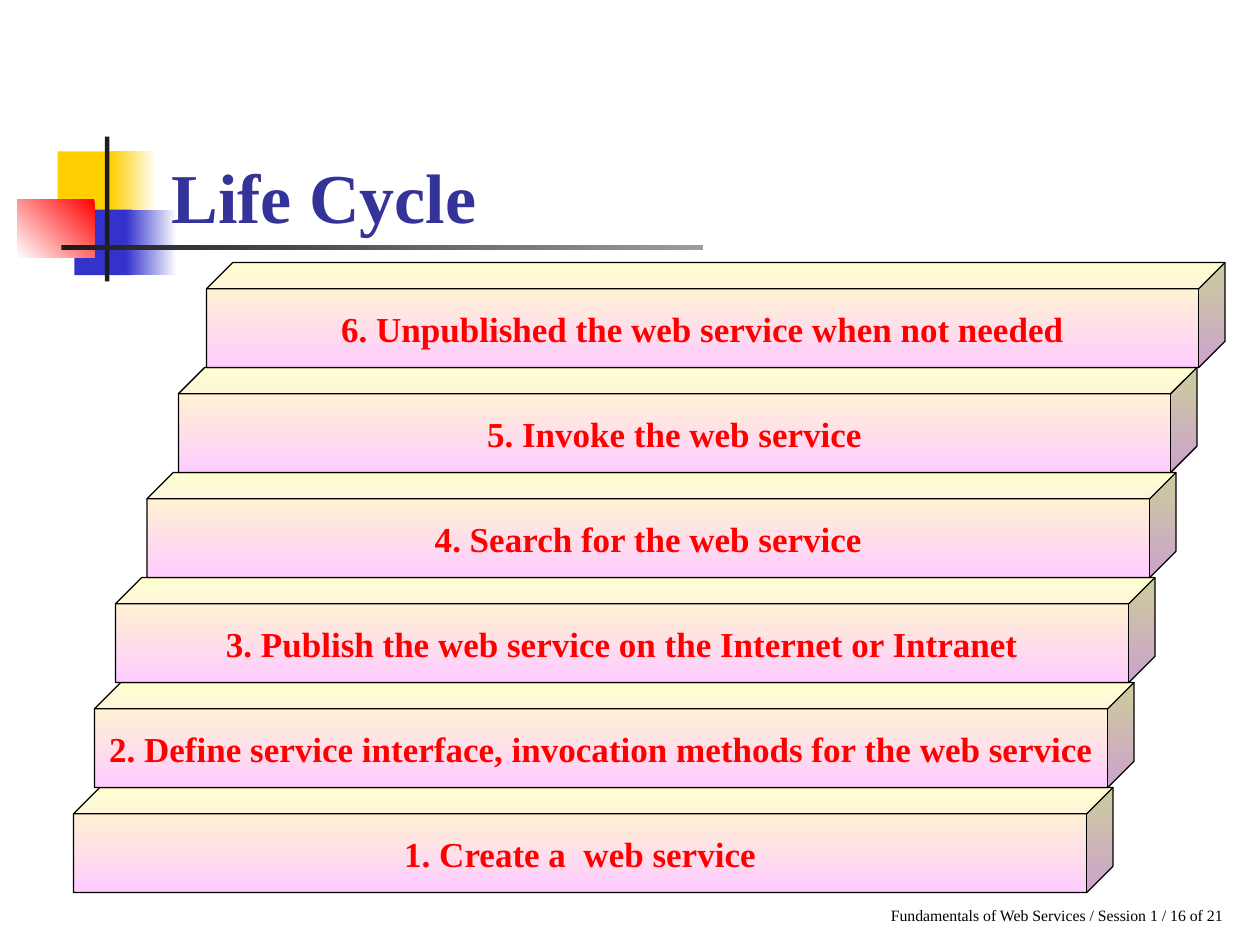
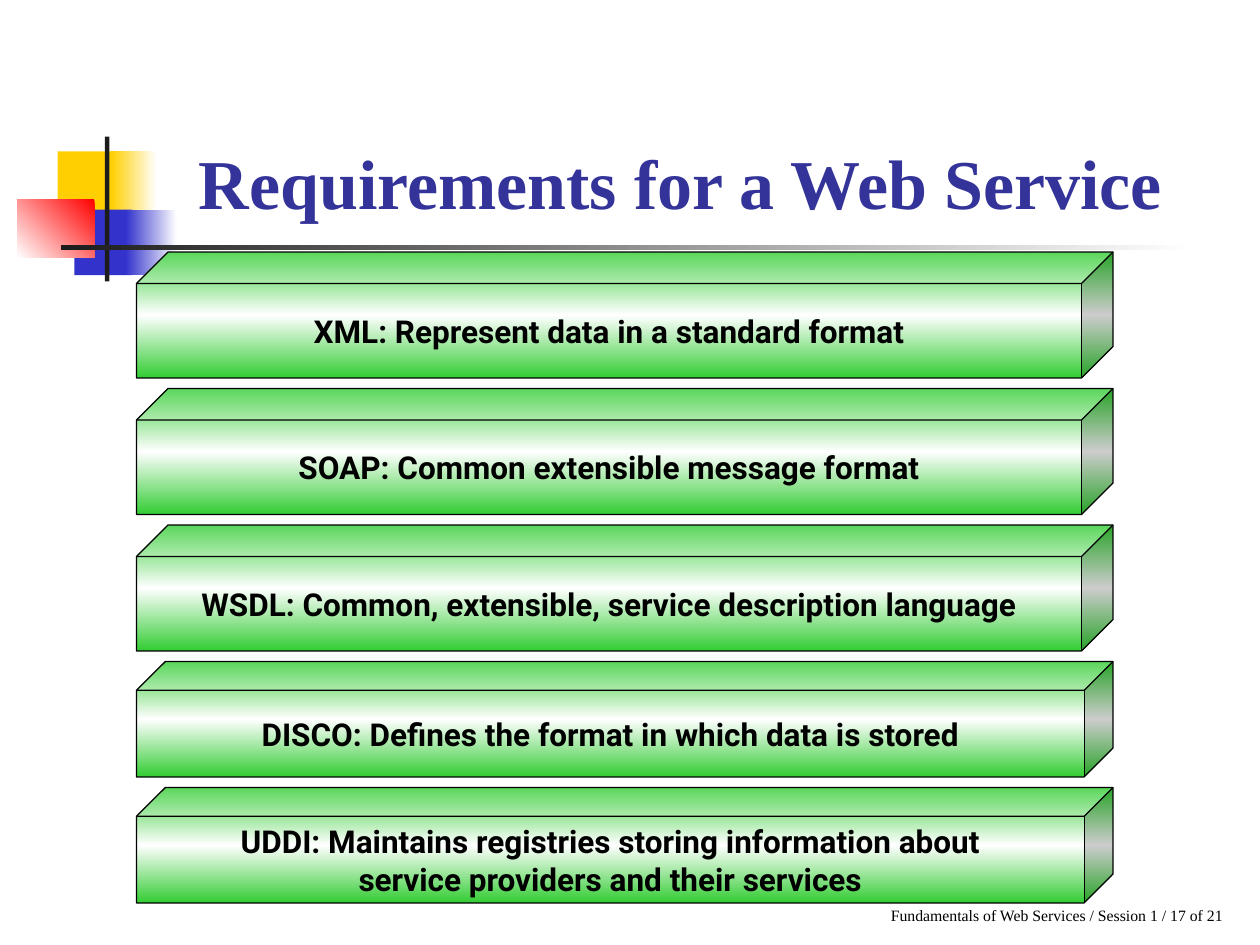
"""Build two slides on the life cycle and the requirements of a web service."""
from lxml import etree
from pptx import Presentation
from pptx.dml.color import RGBColor
from pptx.enum.shapes import MSO_SHAPE
from pptx.enum.text import MSO_ANCHOR, PP_ALIGN
from pptx.oxml.ns import qn
from pptx.util import Pt

RECT, CUBE = MSO_SHAPE.RECTANGLE, MSO_SHAPE.CUBE
LEFT, CENTER = PP_ALIGN.LEFT, PP_ALIGN.CENTER
TOP, MIDDLE, BOTTOM = MSO_ANCHOR.TOP, MSO_ANCHOR.MIDDLE, MSO_ANCHOR.BOTTOM
SERIF, SANS = "Times New Roman", "Roboto"
WHITE, BLACK, INK, RED = "FFFFFF", "000000", "1C1C1C", "FF0000"
GOLD, BLUE, NAVY, GREEN = "FFCF01", "3333CC", "333399", "33CC33"


def paint(part, *tones, angle=90):
    """Fill a shape, line or font with one tone or an even gradient."""
    if len(tones) == 1:
        part.fill.solid()
        part.fill.fore_color.rgb = RGBColor.from_string(tones[0])
        return
    part.fill.gradient()
    part.fill.gradient_angle = -angle % 360
    stops = part.element.spPr.find(qn("a:gradFill")).find(qn("a:gsLst"))
    stops.clear()
    for i, tone in enumerate(tones):
        stop = etree.SubElement(stops, qn("a:gs"), pos=str(100000 * i // (len(tones) - 1)))
        etree.SubElement(stop, qn("a:srgbClr"), val=tone)


def write(shape, text, size=20, face=SERIF, tone=BLACK, bold=True,
          align=CENTER, anchor=MIDDLE, wrap=False):
    """Put text in a shape, one paragraph a line."""
    frame = shape.text_frame
    frame.word_wrap = wrap
    frame.vertical_anchor = anchor
    frame.text = text
    for para in frame.paragraphs:
        para.alignment = align
        para.font.size = Pt(size)
        para.font.name = face
        para.font.bold = bold
        paint(para.font, tone)


steps = [
    (42, 594, "1. Create a  web service"),
    (54, 594, "2. Define service interface, invocation methods for the web service"),
    (66, 594, "3. Publish the web service on the Internet or Intranet"),
    (84, 588, "4. Search for the web service"),
    (102, 582, "5. Invoke the web service"),
    (118, 582, "6. Unpublished the web service when not needed"),
]
needs = [
    (72, "XML: Represent data in a standard format"),
    (72, "SOAP: Common extensible message format"),
    (72, "WSDL: Common, extensible, service description language"),
    (66, "DISCO: Defines the format in which data is stored"),
    (66, "UDDI: Maintains registries storing information about\n"
         "service providers and their services"),
]

stairs = [(x, 450 - 60 * i, w, 60, text) for i, (x, w, text) in enumerate(steps)]
stack = []
y = 144
for h, text in needs:
    stack.append((78, y, 558, h, text))
    y += h + 6

pink = dict(size=20, face=SERIF, tone=RED)
plain = dict(size=18, face=SANS, tone=BLACK)
pages = [
    (16, "Life Cycle", (91, 49, 613, 90), 367, "9D9D9D",
     stairs, ("FFFFC5", "FFCCFF"), pink),
    (17, "Requirements for a Web Service", (106.5, 16.5, 613, 115), 648, WHITE,
     stack, (GREEN, WHITE, GREEN), plain),
]

deck = Presentation()
deck.slide_width, deck.slide_height = Pt(720), Pt(540)

for page, title, place, reach, fade, blocks, tones, style in pages:
    shapes = deck.slides.add_slide(deck.slide_layouts[6]).shapes

    motif = [
        (33, 86.5, 34.5, 37.5, (GOLD,), 0),
        (63.5, 86.5, 26, 37.5, (GOLD, WHITE), 0),
        (42.5, 119.75, 33, 37.5, (BLUE,), 0),
        (72, 119.75, 29, 37.5, (BLUE, WHITE), 0),
        (10, 113.75, 44, 33.5, (RED, WHITE), 135),
        (60, 78, 2.5, 82.75, (INK,), 0),
        (35, 140, 0, 2.75, (INK, fade), 0),
    ]
    for x, y, w, h, hues, angle in motif:
        mark = shapes.add_shape(RECT, Pt(x), Pt(y), Pt(w or reach), Pt(h))
        mark.shadow.inherit = False
        mark.line.fill.background()
        paint(mark, *hues, angle=angle)

    foot = shapes.add_textbox(Pt(502), Pt(514), Pt(233), Pt(18))
    write(foot, f"Fundamentals of Web Services / Session 1 / {page} of 21",
          size=9, bold=False, align=LEFT, anchor=TOP)
    head = shapes.add_textbox(*map(Pt, place))
    write(head, title, size=40, tone=NAVY, align=LEFT, anchor=BOTTOM, wrap=True)

    for x, y, w, h, text in blocks:
        block = shapes.add_shape(CUBE, Pt(x), Pt(y), Pt(w), Pt(h))
        block.shadow.inherit = False
        block.line.width = Pt(0.75)
        paint(block.line, BLACK)
        paint(block, *tones)
        write(block, text, **style)

deck.save("out.pptx")
